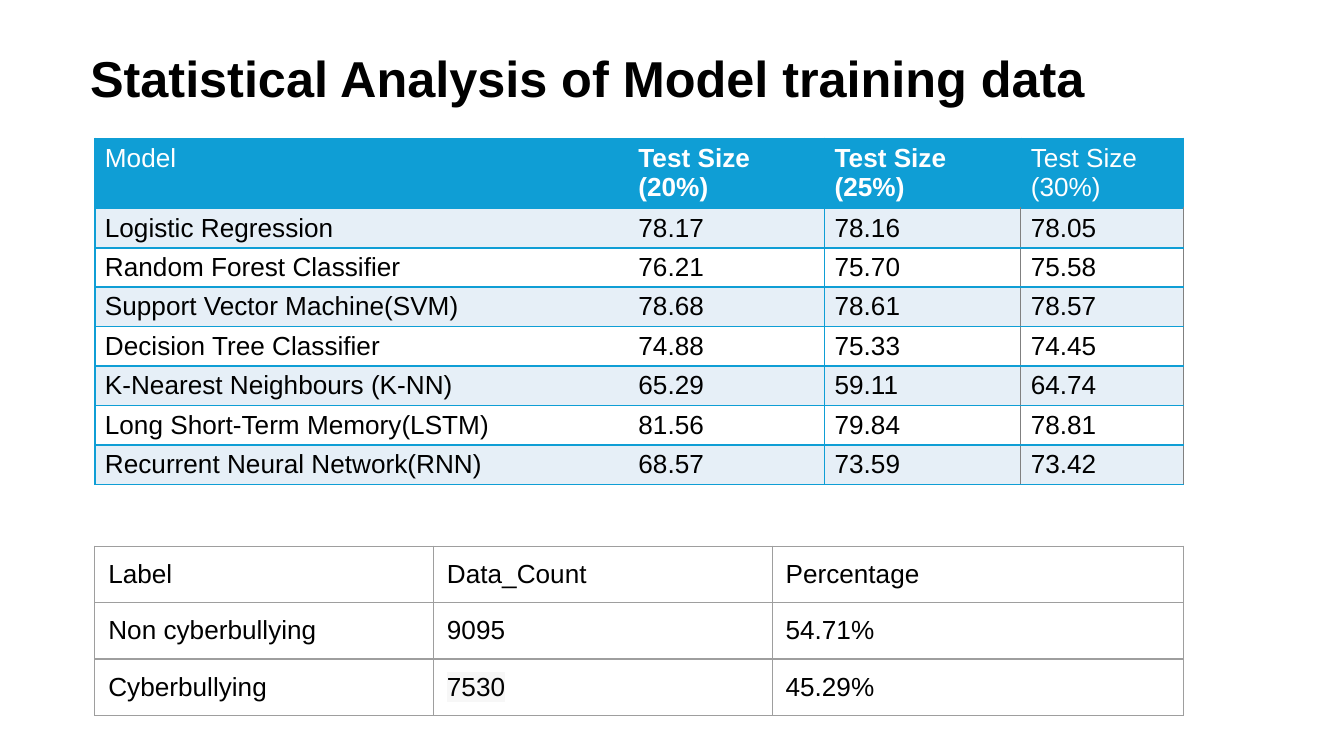
from lxml import etree
from pptx import Presentation
from pptx import util as u
from pptx.dml.color import RGBColor
from pptx.enum import text
from pptx.oxml.ns import qn

BLUE, PALE, WHITE, BLACK = "0F9ED5", "E6EFF7", "FFFFFF", "000000"
GREY, DARK_GREY, HIGHLIGHT = "9E9E9E", "808080", "F7F7F7"

SCORES = [
    ("Model", "Test Size\n(20%)", "Test Size\n(25%)", "Test Size\n(30%)"),
    ("Logistic Regression", "78.17", "78.16", "78.05"),
    ("Random Forest Classifier", "76.21", "75.70", "75.58"),
    ("Support Vector Machine(SVM)", "78.68", "78.61", "78.57"),
    ("Decision Tree Classifier", "74.88", "75.33", "74.45"),
    ("K-Nearest Neighbours (K-NN)", "65.29", "59.11", "64.74"),
    ("Long Short-Term Memory(LSTM)", "81.56", "79.84", "78.81"),
    ("Recurrent Neural Network(RNN)", "68.57", "73.59", "73.42"),
]
LABELS = [
    ("Label", "Data_Count", "Percentage"),
    ("Non cyberbullying", "9095", "54.71%"),
    ("Cyberbullying", "7530", "45.29%"),
]


def rgb(value):
    """Turn a hex string into a colour."""
    return RGBColor.from_string(value)


def apply(target, values):
    """Set every attribute named in a dict of format values."""
    for name, value in values.items():
        setattr(target, name, value)


def margins(across, down):
    """Give the four text margins in points."""
    return {"margin_left": u.Pt(across), "margin_right": u.Pt(across),
            "margin_top": u.Pt(down), "margin_bottom": u.Pt(down)}


def score_format(row, column):
    """Style one cell of the model scores."""
    header = row == 0
    side = (BLUE, 1) if header else (DARK_GREY, 0.5)
    left = {0: (BLUE, 1), 1: None, 2: (BLUE, 1), 3: side}[column]
    right = {0: None, 1: (BLUE, 1), 2: side, 3: side}[column]
    return {"fill": BLUE if header else (PALE if row % 2 else WHITE),
            "color": WHITE if header else BLACK,
            "bold": header and column in (1, 2),
            "borders": (left, right, (BLUE, 1), (BLUE, 1))}


def label_format(row, column):
    """Style one cell of the label counts."""
    return {"fill": None, "color": BLACK, "bold": False,
            "borders": ((GREY, 0.75),) * 4,
            "highlight": HIGHLIGHT if (row, column) == (2, 1) else None}


class Deck:
    """Hold the style, the grid of 100 columns and the current slide."""

    font = "Arial"
    cell = u.Inches(0.1)

    def __init__(self, columns, rows):
        """Open a deck with one title-only slide."""
        self.deck = Presentation()
        apply(self.deck, {"slide_width": self.grid(columns),
                          "slide_height": self.grid(rows)})
        self.slide = self.deck.slides.add_slide(self.deck.slide_layouts[5])

    def grid(self, count):
        """Convert grid cells to a length."""
        return u.Emu(round(count * self.cell))

    def style(self, paragraph, size, color, bold):
        """Format the runs of a paragraph."""
        for run in paragraph.runs:
            apply(run.font, {"name": self.font, "size": u.Pt(size), "bold": bold})
            run.font.color.rgb = rgb(color)

    def title(self, wording, left, top, width, height):
        """Move, fill and format the title placeholder."""
        heading = self.slide.shapes.title
        apply(heading, {"left": self.grid(left), "top": self.grid(top),
                        "width": self.grid(width), "height": self.grid(height)})
        frame = heading.text_frame
        frame.text = wording
        apply(frame, {"word_wrap": True, "auto_size": text.MSO_AUTO_SIZE.NONE,
                      "vertical_anchor": text.MSO_ANCHOR.MIDDLE, **margins(5.4, 2.7)})
        apply(frame.paragraphs[0], {"alignment": text.PP_ALIGN.LEFT, "line_spacing": 0.9})
        self.style(frame.paragraphs[0], 27, BLACK, True)

    def borders(self, cell, lines):
        """Draw the left, right, top and bottom lines of a cell."""
        properties = cell._tc.get_or_add_tcPr()
        for place, (side, line) in enumerate(zip("LRTB", lines)):
            edge = etree.Element(qn(f"a:ln{side}"))
            if line:
                color, width = line
                edge.set("w", str(u.Pt(width)))
                solid = etree.SubElement(edge, qn("a:solidFill"))
                etree.SubElement(solid, qn("a:srgbClr"), val=color)
            else:
                etree.SubElement(edge, qn("a:noFill"))
            properties.insert(place, edge)

    def highlight(self, paragraph, color):
        """Mark the runs of a paragraph with a background colour."""
        for run in paragraph.runs:
            mark = etree.Element(qn("a:highlight"))
            etree.SubElement(mark, qn("a:srgbClr"), val=color)
            run.font._element.find(qn("a:solidFill")).addnext(mark)

    def table(self, records, left, top, widths, heights, inset, cell_format):
        """Add a table whose cells are styled by a rule."""
        table = self.slide.shapes.add_table(
            len(heights), len(widths), self.grid(left), self.grid(top),
            self.grid(sum(widths)), self.grid(sum(heights))).table
        apply(table, {"first_row": False, "horz_banding": False})
        for column, width in zip(table.columns, widths):
            column.width = self.grid(width)
        for row, (record, height) in enumerate(zip(records, heights)):
            table.rows[row].height = self.grid(height)
            for column, wording in enumerate(record):
                self.fill_cell(table.cell(row, column), wording, inset,
                               **cell_format(row, column))

    def fill_cell(self, cell, wording, inset, fill, color, bold, borders, highlight=None):
        """Write and format one table cell."""
        cell.text = wording
        apply(cell, margins(*inset))
        if fill:
            cell.fill.solid()
            cell.fill.fore_color.rgb = rgb(fill)
        else:
            cell.fill.background()
        for paragraph in cell.text_frame.paragraphs:
            self.style(paragraph, 14, color, bold)
            if highlight:
                self.highlight(paragraph, highlight)
        self.borders(cell, borders)


def main():
    """Build the slide and save it."""
    deck = Deck(100, 56.25)
    deck.title("Statistical Analysis of Model training data", 5.95, 3.8, 86.2, 4.5)
    deck.table(SCORES, 7.06, 10.3, (39.7, 14.6, 14.6, 12.1), (5.2,) + (2.9,) * 7,
               (5.4, 2.7), score_format)
    deck.table(LABELS, 7.06, 40.65, (25.2, 25.2, 30.6), (4.17,) * 3,
               (7.2, 7.2), label_format)
    deck.deck.save("out.pptx")


if __name__ == "__main__":
    main()
